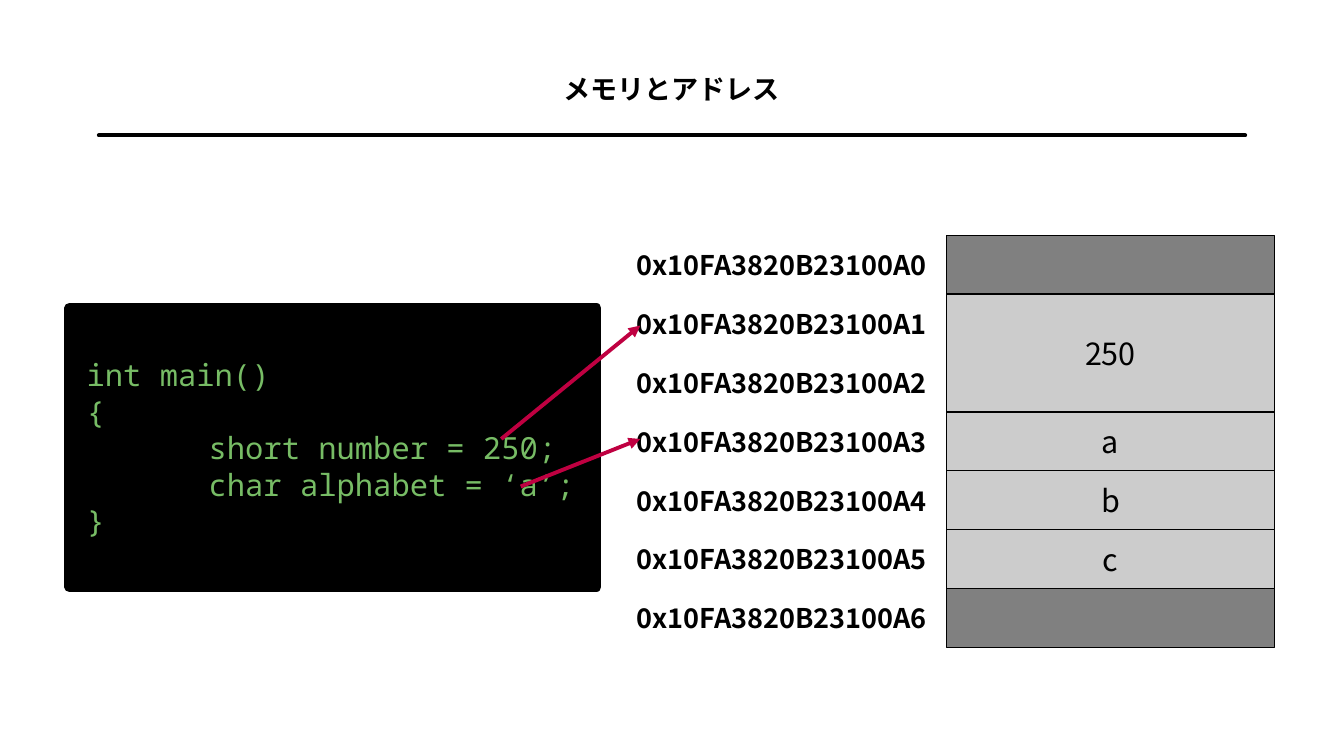
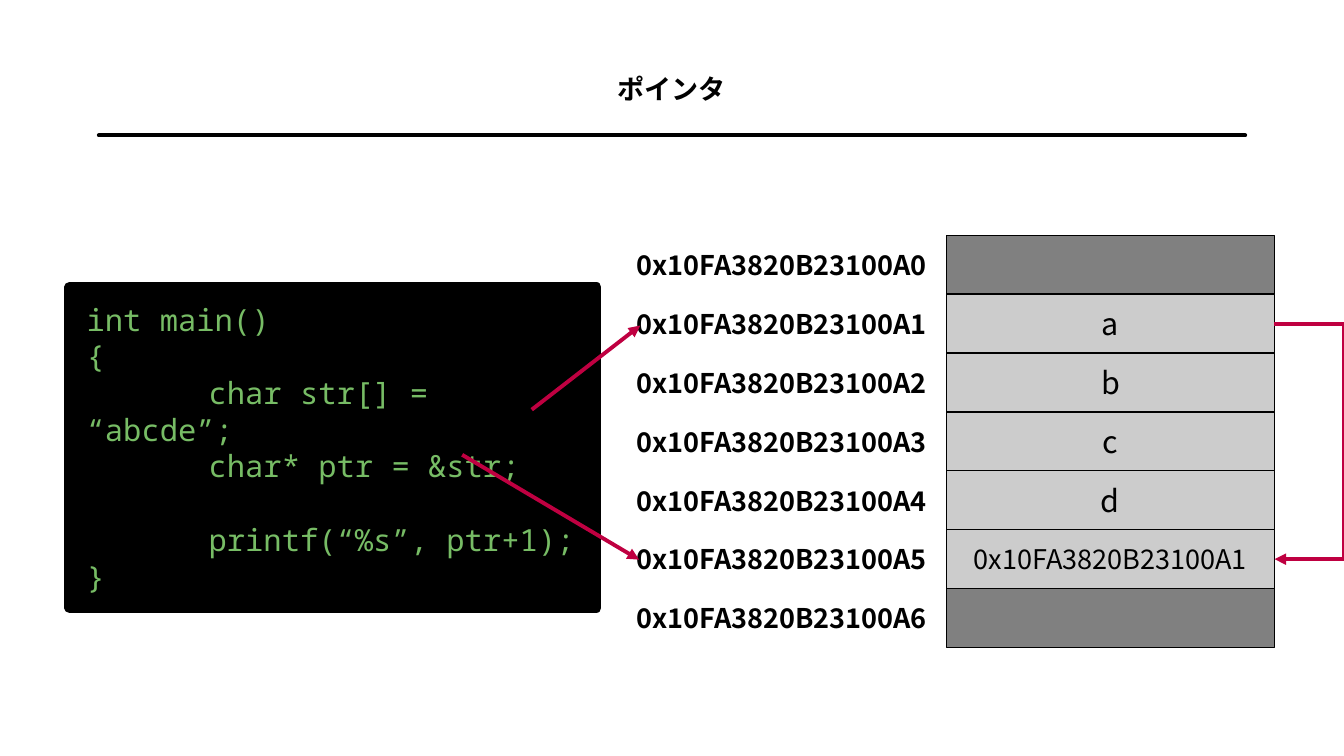
from dataclasses import dataclass

from lxml import etree
from pptx import Presentation
from pptx.dml.color import RGBColor
from pptx.enum.shapes import MSO_CONNECTOR, MSO_SHAPE
from pptx.enum.text import MSO_ANCHOR, PP_ALIGN
from pptx.oxml.ns import qn
from pptx.util import Emu, Inches, Pt

STRAIGHT, ELBOW = MSO_CONNECTOR.STRAIGHT, MSO_CONNECTOR.ELBOW
RECT = MSO_SHAPE.RECTANGLE
MIDDLE = MSO_ANCHOR.MIDDLE
LEFT, CENTER = PP_ALIGN.LEFT, PP_ALIGN.CENTER
RIGHT_SIDE = 3


@dataclass(frozen=True)
class Theme:
    ink: str = "000000"
    code: str = "77BC65"
    arrow: str = "BF0041"
    used: str = "CCCCCC"
    unused: str = "808080"
    sans: str = "Noto Sans CJK SC"
    mono: str = "Noto Sans Mono"
    small: int = 16
    body: int = 18
    rule: float = 2.3
    code_border: int = 6


T = Theme()
SLIDE_W, SLIDE_H = 11.02, 6.2
TITLE_BOX = (3.55, 0.52, 3.91, 0.42)
RULE_INSET, RULE_Y = 0.81, 1.11
MEMORY_BOX = (5.06, 1.93, 5.39, 3.38)
ADDRESS_W = 2.7
ADDRESSES = [f"0x10FA3820B23100A{i}" for i in range(7)]
CODE_X, CODE_MIDDLE, CODE_W = 0.57, 3.67, 4.32
CODE_INSETS = dict(margin_left=0.14, margin_right=0.14, margin_top=0.09, margin_bottom=0.09)
CODE_TAB = 1
BLANK_LINE = 22

SLIDES = [
    dict(
        title="メモリとアドレス",
        code=["int main()", "{", "\tshort number = 250;", "\tchar alphabet = ‘a’;", "}"],
        code_h=2.29,
        cells=[("", 1), ("250", 2), ("a", 1), ("b", 1), ("c", 1), ("", 1)],
        arrows=[((4.11, 3.6), (5.25, 2.67)), ((4.27, 3.99), (5.25, 3.6))],
    ),
    dict(
        title="ポインタ",
        code=["int main()", "{", "\tchar str[] = “abcde”;", "\tchar* ptr = &str;", "",
              "\tprintf(“%s”, ptr+1);", "}"],
        code_h=2.63,
        cells=[("", 1), ("a", 1), ("b", 1), ("c", 1), ("d", 1), (ADDRESSES[1], 1), ("", 1)],
        arrows=[((4.36, 3.36), (5.25, 2.67)), ((3.79, 3.73), (5.24, 4.59))],
        pointer=(5, 1),
    ),
]


def rgb(color):
    return RGBColor.from_string(color)


def inches(values):
    return [Inches(v) for v in values]


def write(sp, lines, font, size, color, align=CENTER, bold=False):
    """Fill a shape with lines; an empty line becomes space before the next."""
    tf = sp.text_frame
    tf.word_wrap = True
    tf.vertical_anchor = MIDDLE
    p, gap = tf.paragraphs[0], 0
    for i, line in enumerate(lines):
        if not line:
            gap += BLANK_LINE
            continue
        if i:
            p = tf.add_paragraph()
        p.alignment = align
        if gap:
            p.space_before, gap = Pt(gap), 0
        if line.startswith("\t"):
            tabs = etree.SubElement(p._p.get_or_add_pPr(), qn("a:tabLst"))
            etree.SubElement(tabs, qn("a:tab"), pos=str(Inches(CODE_TAB)), algn="l")
        r = p.add_run()
        r.text = line
        for name, value in dict(name=font, size=Pt(size), bold=bold).items():
            setattr(r.font, name, value)
        r.font.color.rgb = rgb(color)
        latin = r.font._element.find(qn("a:latin"))
        latin.addnext(etree.Element(qn("a:ea"), typeface=font))


def add_label(slide, box, text):
    write(slide.shapes.add_textbox(*inches(box)), [text], T.sans, T.small, T.ink, bold=True)


def add_box(slide, box, fill, border):
    sp = slide.shapes.add_shape(RECT, *inches(box))
    sp.shadow.inherit = False
    sp.fill.solid()
    sp.fill.fore_color.rgb = rgb(fill)
    sp.line.color.rgb = rgb(T.ink)
    sp.line.width = Pt(border)
    return sp


def add_line(slide, start, end, color, kind=STRAIGHT, arrow=False):
    line = slide.shapes.add_connector(kind, *inches(start + end))
    line.line.color.rgb = rgb(color)
    line.line.width = Pt(T.rule)
    ln = line.line._get_or_add_ln()
    if arrow:
        etree.SubElement(ln, qn("a:tailEnd"), type="triangle")
    else:
        ln.set("cap", "rnd")
    etree.SubElement(line._element.spPr, qn("a:effectLst"))
    return line


def add_header(slide, title):
    add_label(slide, TITLE_BOX, title)
    add_line(slide, (RULE_INSET, RULE_Y), (SLIDE_W - RULE_INSET, RULE_Y), T.ink)


def add_memory(slide, box, cells):
    """Addresses beside a column of cells, each spanning whole rows."""
    x, y, w, h = box
    row_h = h / len(ADDRESSES)
    for i, address in enumerate(ADDRESSES):
        add_label(slide, (x, y + i * row_h, ADDRESS_W, row_h), address)
    shapes, row = [], 0
    for text, span in cells:
        cell = (x + ADDRESS_W, y + row * row_h, w - ADDRESS_W, span * row_h)
        sp = add_box(slide, cell, T.used if text else T.unused, 0)
        if text:
            write(sp, [text], T.sans, T.small if text in ADDRESSES else T.body, T.ink)
        shapes.append(sp)
        row += span
    return shapes


def add_code(slide, box, lines):
    sp = add_box(slide, box, T.ink, T.code_border)
    etree.SubElement(sp.line._get_or_add_ln(), qn("a:round"))
    for name, value in CODE_INSETS.items():
        setattr(sp.text_frame, name, Inches(value))
    write(sp, lines, T.mono, T.body, T.code, align=LEFT)


def add_pointer(slide, target, holder):
    """Elbow arrow from the pointed-to cell round to the cell holding its address."""
    # Spanning the slide first keeps the connector unflipped while it is joined.
    line = add_line(slide, (0, 0), (SLIDE_W, SLIDE_H), T.arrow, ELBOW, arrow=True)
    line.begin_connect(target, RIGHT_SIDE)
    line.end_connect(holder, RIGHT_SIDE)
    line.width = Emu(360)  # the bend is a multiple of the width, so it cannot be zero
    geometry = line._element.spPr.find(qn("a:prstGeom"))
    guides = geometry.find(qn("a:avLst"))
    if guides is None:
        guides = etree.SubElement(geometry, qn("a:avLst"))
    etree.SubElement(guides, qn("a:gd"), name="adj1", fmla="val 72500000")


def build_slide(prs, title, code, code_h, cells, arrows, pointer=None):
    slide = prs.slides.add_slide(prs.slide_layouts[6])
    add_header(slide, title)
    memory = add_memory(slide, MEMORY_BOX, cells)
    add_code(slide, (CODE_X, CODE_MIDDLE - code_h / 2, CODE_W, code_h), code)
    for start, end in arrows:
        add_line(slide, start, end, T.arrow, arrow=True)
    if pointer:
        holder, target = pointer
        add_pointer(slide, memory[target], memory[holder])


def main():
    prs = Presentation()
    prs.slide_width, prs.slide_height = inches((SLIDE_W, SLIDE_H))
    for content in SLIDES:
        build_slide(prs, **content)
    prs.save("out.pptx")


if __name__ == "__main__":
    main()
